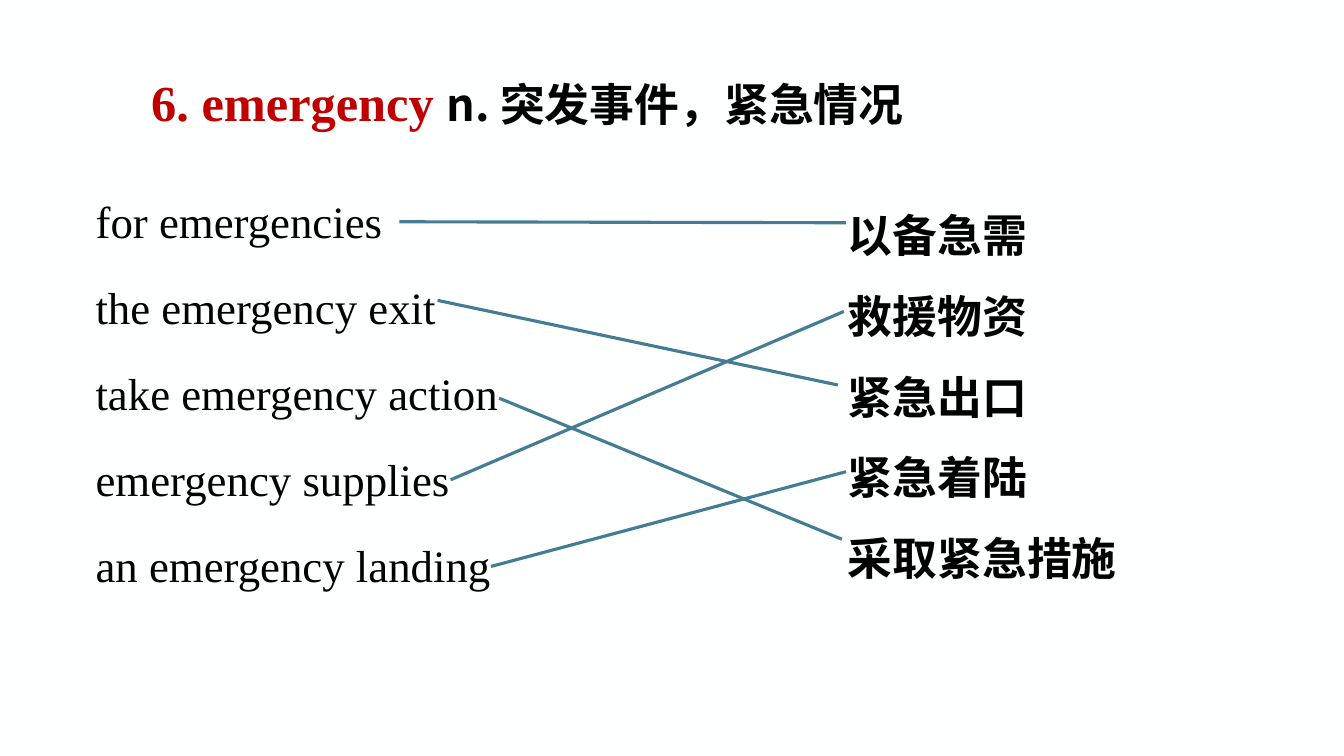
from lxml import etree
from pptx import Presentation
from pptx.dml.color import RGBColor
from pptx.enum.shapes import MSO_CONNECTOR
from pptx.enum.text import MSO_ANCHOR, MSO_AUTO_SIZE, PP_ALIGN
from pptx.oxml.ns import qn
from pptx.util import Inches, Pt

STRAIGHT = MSO_CONNECTOR.STRAIGHT
TOP = MSO_ANCHOR.TOP
FIT_SHAPE = MSO_AUTO_SIZE.SHAPE_TO_FIT_TEXT
LEFT = PP_ALIGN.LEFT

LATIN_FONT = "Times New Roman"
CHINESE_FONT = "Noto Sans CJK SC"
BACKGROUND, RED, BLACK, BLUE = "FEFFFF", "C00000", "000000", "447C96"

TITLE_BOX = (1.4, 0.66, 11.06, 0.71)
PHRASE_BOX = (0.85, 1.55, 7.23, 4.41)
MEANING_BOX = (8.31, 1.75, 4.15, 4.14)

PHRASES = ["for emergencies", "the emergency exit", "take emergency action",
           "emergency supplies", "an emergency landing"]
MEANINGS = ["以备急需", "救援物资", "紧急出口", "紧急着陆", "采取紧急措施"]
# Start and end of the line that joins each phrase to its meaning
MATCHES = [((3.96, 2.2), (8.39, 2.21)),
           ((4.34, 2.98), (8.31, 3.82)),
           ((4.95, 3.95), (8.35, 5.35)),
           ((4.47, 4.76), (8.37, 3.09)),
           ((4.87, 5.62), (8.39, 4.68))]


def color(value):
    return RGBColor.from_string(value)


def format_font(font, name, size, fill, bold):
    """Format Latin text with the named font and Chinese text with CHINESE_FONT."""
    font.size, font.bold = Pt(size), bold
    font.color.rgb = color(fill)
    font.name = name
    latin = font._element.find(qn("a:latin"))
    east_asian = etree.Element(qn("a:ea"), typeface=CHINESE_FONT)
    latin.addnext(east_asian)


def prepare_frame(frame):
    frame.word_wrap = True
    frame.auto_size = FIT_SHAPE
    frame.vertical_anchor = TOP


def add_title(slide, box):
    title = slide.shapes.title
    title.left, title.top, title.width, title.height = map(Inches, box)
    prepare_frame(title.text_frame)
    paragraph = title.text_frame.paragraphs[0]
    paragraph.alignment = LEFT
    for text, name, size, fill in [
            ("6. emergency ", LATIN_FONT, 36, RED),
            ("n. 突发事件，紧急情况", CHINESE_FONT, 32, BLACK)]:
        run = paragraph.add_run()
        run.text = text
        format_font(run.font, name, size, fill, True)


def add_column(slide, box, lines, line_spacing, bold):
    frame = slide.shapes.add_textbox(*map(Inches, box)).text_frame
    prepare_frame(frame)
    frame.text = "\n".join(lines)
    for paragraph in frame.paragraphs:
        paragraph.line_spacing = line_spacing
        format_font(paragraph.font, LATIN_FONT, 32, BLACK, bold)


def add_match_lines(slide, matches):
    for start, end in matches:
        line = slide.shapes.add_connector(STRAIGHT, *map(Inches, start + end))
        line.line.color.rgb = color(BLUE)
        line.line.width = Pt(2.25)
        etree.SubElement(line._element.spPr, qn("a:effectLst"))


def add_matching_slide(presentation):
    slide = presentation.slides.add_slide(presentation.slide_layouts[5])
    slide.background.fill.solid()
    slide.background.fill.fore_color.rgb = color(BACKGROUND)
    add_title(slide, TITLE_BOX)
    add_column(slide, PHRASE_BOX, PHRASES, 1.6, False)
    add_column(slide, MEANING_BOX, MEANINGS, 1.5, True)
    add_match_lines(slide, MATCHES)


def main():
    presentation = Presentation()
    presentation.slide_width = Inches(13.33)
    presentation.slide_height = Inches(7.5)
    add_matching_slide(presentation)
    presentation.save("out.pptx")


if __name__ == "__main__":
    main()
